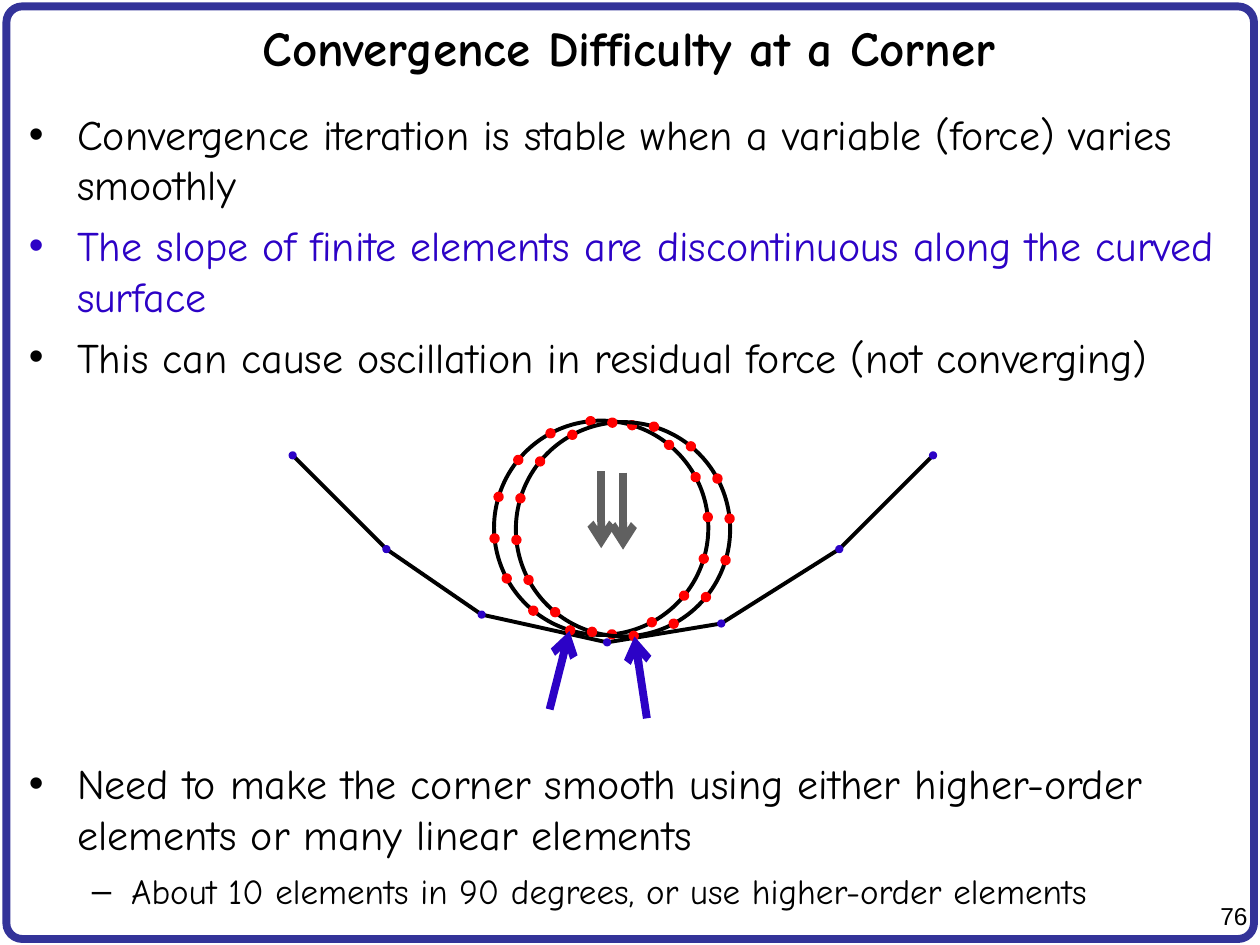
from dataclasses import dataclass
from math import cos, radians, sin

from lxml.etree import SubElement
from pptx import Presentation
from pptx.dml.color import RGBColor
from pptx.enum.shapes import MSO_CONNECTOR, MSO_SHAPE
from pptx.enum.text import MSO_ANCHOR, MSO_AUTO_SIZE, PP_ALIGN
from pptx.oxml.ns import qn
from pptx.util import Cm, Pt


@dataclass(frozen=True)
class Theme:
    ink: str = "000000"
    blue: str = "2C02C6"
    red: str = "FF0000"
    gray: str = "606060"
    edge: str = "333399"
    font: str = "Comic Neue"
    plain: str = "Arial"
    title: int = 28
    body: int = 24
    sub: int = 20
    page: int = 14
    thin: float = 1
    line: float = 2.25
    bold: float = 4.5


T = Theme()
DOT = 0.13


def color(code):
    return RGBColor.from_string(code)


def write(para, text, size=T.body, tint=T.ink, font=T.font, bold=False,
          align=PP_ALIGN.LEFT, before=0):
    para.alignment = align
    para.space_before = Pt(before)
    run = para.add_run()
    run.text = text
    run.font.size, run.font.name, run.font.bold = Pt(size), font, bold
    run.font.color.rgb = color(tint)


def place(shape, box):
    shape.left, shape.top, shape.width, shape.height = map(Cm, box)


def style(shape, line, width, fill=None):
    shape.shadow.inherit = False
    if fill:
        shape.fill.solid()
        shape.fill.fore_color.rgb = color(fill)
    else:
        shape.fill.background()
    shape.line.color.rgb = color(line)
    shape.line.width = Pt(width)


def dot(parts, x, y, tint, width):
    mark = parts.add_shape(MSO_SHAPE.OVAL, Cm(x - DOT / 2), Cm(y - DOT / 2),
                           Cm(DOT), Cm(DOT))
    style(mark, tint, width, tint)


def arrow(parts, start, end, tint):
    link = parts.add_connector(MSO_CONNECTOR.STRAIGHT, *map(Cm, start + end))
    link.line.color.rgb = color(tint)
    link.line.width = Pt(T.bold)
    SubElement(link.line._get_or_add_ln(), qn("a:tailEnd"), type="arrow")
    SubElement(link._element.spPr, qn("a:effectLst"))


def border(slide, box):
    shape = slide.shapes.add_shape(MSO_SHAPE.ROUNDED_RECTANGLE, *map(Cm, box))
    shape.adjustments[0] = 0.017
    style(shape, T.edge, T.bold)
    # Keep the border behind the text
    slide.shapes._spTree.insert(2, shape._element)


def number(slide, box, text):
    frame = slide.shapes.add_textbox(*map(Cm, box)).text_frame
    frame.word_wrap = True
    write(frame.paragraphs[0], text, size=T.page, font=T.plain,
          align=PP_ALIGN.RIGHT)


def heading(slide, box, text):
    shape = slide.shapes.title
    place(shape, box)
    frame = shape.text_frame
    frame.auto_size = MSO_AUTO_SIZE.NONE
    frame.vertical_anchor = MSO_ANCHOR.MIDDLE
    write(frame.paragraphs[0], text, size=T.title, bold=True,
          align=PP_ALIGN.CENTER)


def points(slide, box, items):
    shape = slide.placeholders[1]
    place(shape, box)
    frame = shape.text_frame
    frame.auto_size = MSO_AUTO_SIZE.NONE
    frame.vertical_anchor = MSO_ANCHOR.TOP
    marks = (("•", 0.97, 0.97), ("–", 2.06, 0.79))
    for i, (level, text, form) in enumerate(items):
        para = frame.add_paragraph() if i else frame.paragraphs[0]
        para.level = level
        write(para, text, **{"before": 6, **form})
        char, left, hang = marks[level]
        props = para._p.get_or_add_pPr()
        props.set("marL", str(Cm(left)))
        props.set("indent", str(-Cm(hang)))
        SubElement(props, qn("a:buChar"), char=char)


def surface(slide, left, top):
    parts = slide.shapes.add_group_shape().shapes
    nodes = [(left + x, top + y) for x, y in (
        (0, 0), (1.89, 1.89), (3.81, 3.21), (6.34, 3.77),
        (8.64, 3.39), (11.02, 1.89), (12.91, 0))]
    # Straight elements joined at the nodes
    path = [(Cm(x), Cm(y)) for x, y in nodes]
    build = parts.build_freeform(*path[0])
    build.add_line_segments(path[1:], close=False)
    style(build.convert_to_shape(), T.ink, T.line)
    for x, y in nodes:
        dot(parts, x, y, T.blue, T.thin)


def wheel(slide, left, top, size, push):
    parts = slide.shapes.add_group_shape().shapes
    ring = parts.add_shape(MSO_SHAPE.OVAL, *map(Cm, (left, top, size, size)))
    style(ring, T.ink, T.line)
    # Evenly spaced nodes on the rim
    count, half = 16, size / 2
    for i in range(count):
        turn = radians(84.3 - i * 360 / count)
        dot(parts, left + half + half * cos(turn),
            top + half + half * sin(turn), T.red, T.line)
    # Load from above and contact force from below
    load = (half, 1.02), (half, 2.57)
    for ends, tint in ((load, T.gray), (push, T.blue)):
        start, end = ((left + x, top + y) for x, y in ends)
        arrow(parts, start, end, tint)


def main():
    deck = Presentation()
    deck.slide_width, deck.slide_height = Cm(25.4), Cm(19.05)
    slide = deck.slides.add_slide(deck.slide_layouts[1])

    border(slide, (0.13, 0.13, 25.15, 18.8))
    number(slide, (24.03, 18.03, 1.37, 0.84), "76")
    heading(slide, (0.1, 0.13, 25.15, 1.65),
            "Convergence Difficulty at a Corner")
    points(slide, (0.33, 2.06, 24.74, 16.48), (
        (0, "Convergence iteration is stable when a variable (force) "
            "varies smoothly", {}),
        (0, "The slope of finite elements are discontinuous along the "
            "curved surface", {"tint": T.blue}),
        (0, "This can cause oscillation in residual force "
            "(not converging)", {}),
        # Wide gap leaves room for the drawing
        (0, "Need to make the corner smooth using either higher-order "
            "elements or many linear elements", {"before": 215}),
        (1, "About 10 elements in 90 degrees, or use higher-order "
            "elements", {"size": T.sub}),
    ))

    # Wheel in two positions on the faceted surface
    surface(slide, 5.9, 9.18)
    wheel(slide, 9.96, 8.48, 4.32, ((1.12, 5.82), (1.52, 4.24)))
    wheel(slide, 10.4, 8.51, 4.32, ((2.64, 5.97), (2.39, 4.32)))

    deck.save("out.pptx")


if __name__ == "__main__":
    main()
